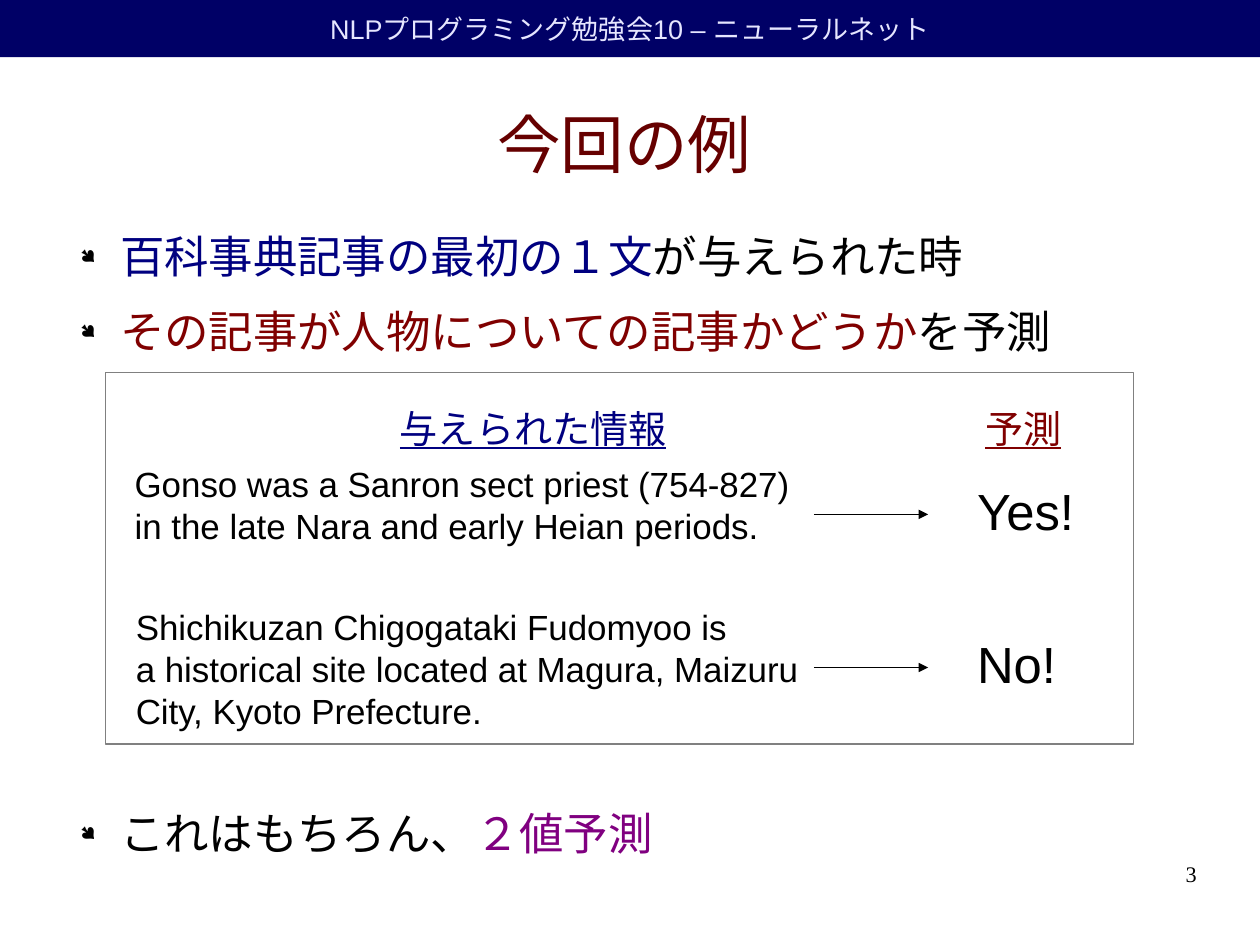
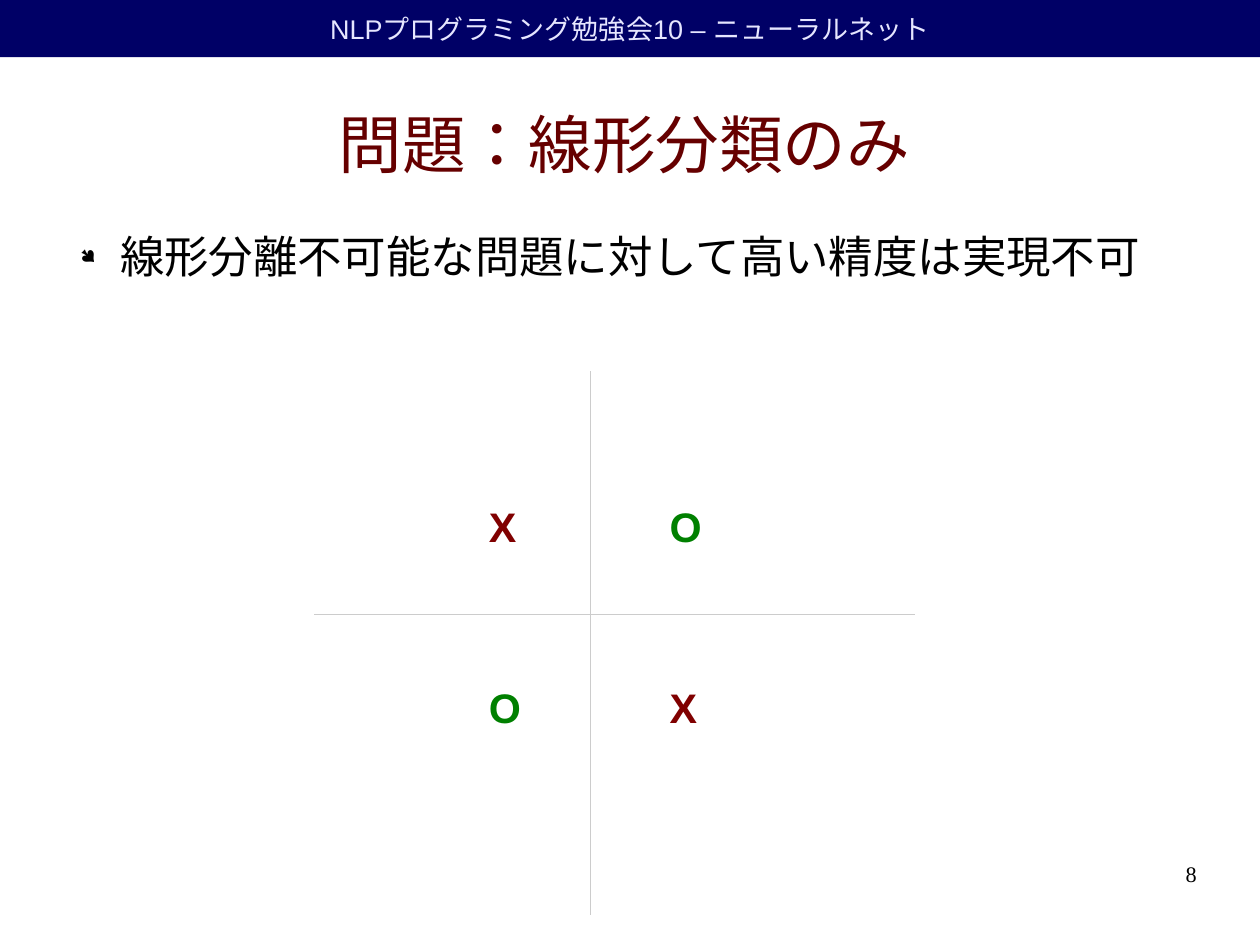
from lxml import etree
from pptx import Presentation
from pptx.dml.color import RGBColor
from pptx.enum.lang import MSO_LANGUAGE_ID
from pptx.enum.shapes import MSO_CONNECTOR, MSO_SHAPE
from pptx.enum.text import MSO_ANCHOR, PP_ALIGN
from pptx.oxml.ns import qn
from pptx.util import Inches, Pt

RECTANGLE = MSO_SHAPE.RECTANGLE
STRAIGHT = MSO_CONNECTOR.STRAIGHT
JAPANESE = MSO_LANGUAGE_ID.JAPANESE
TOP, MIDDLE = MSO_ANCHOR.TOP, MSO_ANCHOR.MIDDLE
LEFT, CENTER, RIGHT = PP_ALIGN.LEFT, PP_ALIGN.CENTER, PP_ALIGN.RIGHT

COLORS = {
    "band": "000066", "band_text": "E6E6FF", "title": "660000",
    "text": "000000", "given": "000080", "predicted": "800000",
    "binary": "800080", "positive": "008000", "frame": "808080",
    "axis": "CCCCCC",
}
RGB = {name: RGBColor.from_string(value) for name, value in COLORS.items()}
SLIDE_W, SLIDE_H = 28 / 2.54, 21 / 2.54  # 28 by 21 cm
BULLET_SIZE = 28
BULLET_LEFT, BULLET_WIDTH = 0.58, 9.92


def add_text(slide, box, lines, size, color="text", align=LEFT, anchor=TOP,
             margins=(0.1, 0.05), face="Arial", bold=None, underline=None,
             bulleted=False, fill=None):
    """Each line is a string, or a list of (text, color) runs."""
    place = [Inches(length) for length in box]
    if fill:
        shape = slide.shapes.add_shape(RECTANGLE, *place)
        shape.shadow.inherit = False
        shape.fill.solid()
        shape.fill.fore_color.rgb = RGB[fill]
        shape.line.fill.background()
    else:
        shape = slide.shapes.add_textbox(*place)
    frame = shape.text_frame
    frame.word_wrap = True
    frame.vertical_anchor = anchor
    frame.margin_left = frame.margin_right = Inches(margins[0])
    frame.margin_top = frame.margin_bottom = Inches(margins[1])

    for index, line in enumerate(lines):
        paragraph = frame.add_paragraph() if index else frame.paragraphs[0]
        paragraph.alignment = align
        if bulleted:
            properties = paragraph._p.get_or_add_pPr()
            properties.set("marL", str(Inches(0.47)))
            properties.set("indent", str(Inches(-0.35)))
            bullet_color = etree.SubElement(properties, qn("a:buClr"))
            etree.SubElement(bullet_color, qn("a:srgbClr"), val=COLORS["text"])
            etree.SubElement(properties, qn("a:buSzPct"), val="45000")
            etree.SubElement(properties, qn("a:buFont"), typeface="Wingdings",
                             charset="2")
            etree.SubElement(properties, qn("a:buChar"), char="●")
            paragraph.space_after = Pt(14.2)
        font = paragraph.font
        font.size, font.name = Pt(size), face
        font.bold, font.underline = bold, underline
        font.color.rgb = RGB[color]
        defaults = paragraph._p.pPr.find(qn("a:defRPr"))
        etree.SubElement(defaults, qn("a:ea"), typeface=face)
        for text, run_color in [(line, None)] if isinstance(line, str) else line:
            run = paragraph.add_run()
            run.text = text
            run.font.language_id = JAPANESE
            if run_color:
                run.font.color.rgb = RGB[run_color]


def add_line(slide, start, end, color, arrow=False):
    """Draw a hairline, without the theme's line style."""
    line = slide.shapes.add_connector(
        STRAIGHT, *[Inches(length) for length in (*start, *end)])
    line._element.remove(line._element.find(qn("p:style")))
    line.line.color.rgb = RGB[color]
    line.line.width = Pt(0)
    if arrow:
        etree.SubElement(line.line._get_or_add_ln(), qn("a:tailEnd"), type="triangle")
    etree.SubElement(line._element.spPr, qn("a:effectLst"))


deck = Presentation()
deck.slide_width, deck.slide_height = Inches(SLIDE_W), Inches(SLIDE_H)
blank = deck.slide_layouts[6]

# Shared band, title and page number
pages = []
for title, number in [("今回の例", "3"), ("問題：線形分類のみ", "8")]:
    page = deck.slides.add_slide(blank)
    add_text(page, (0, 0, SLIDE_W, 0.5), ["NLPプログラミング勉強会10 – ニューラルネット"],
             17, "band_text", CENTER, MIDDLE, fill="band")
    add_text(page, (0.5, 0.62, 9.92, 1.27), [title], 40, "title", CENTER, MIDDLE,
             margins=(0, 0))
    add_text(page, (7.9, 7.53, 2.57, 0.57), [number], 14, align=RIGHT,
             margins=(0, 0), face="Times New Roman")
    pages.append(page)
example, problem = pages

# Bullets
task = [
    [("百科事典記事の最初の１文", "given"), ("が与えられた時", "text")],
    [("その記事が人物についての記事かどうか", "predicted"), ("を予測", "text")],
]
conclusion = [[("これはもちろん、", "text"), ("２値予測", "binary")]]
limitation = ["線形分離不可能な問題に対して高い精度は実現不可"]
for page, top, height, bullets in [
    (example, 2, 1.2, task),
    (example, 7.05, 0.6, conclusion),
    (problem, 2, 0.6, limitation),
]:
    add_text(page, (BULLET_LEFT, top, BULLET_WIDTH, height), bullets, BULLET_SIZE,
             margins=(0, 0), bulleted=True)

# Example: given sentences and their predictions
frame_box = example.shapes.add_shape(
    RECTANGLE, Inches(0.92), Inches(3.26), Inches(9), Inches(3.25))
frame_box.shadow.inherit = False
frame_box.fill.background()
frame_box.line.color.rgb = RGB["frame"]
frame_box.line.width = Pt(0)

for heading, left, width, color in [
    ("与えられた情報", 3.4, 2.8, "given"), ("予測", 8.52, 1.2, "predicted"),
]:
    add_text(example, (left, 3.5, width, 0.49), [heading], 24, color, underline=True)

for sentence, left, top, height, arrow_y, answer in [
    (["Gonso was a Sanron sect priest (754-827)",
      "in the late Nara and early Heian periods."], 1.08, 4, 0.78, 4.5, "Yes!"),
    (["Shichikuzan Chigogataki Fudomyoo is",
      "a historical site located at Magura, Maizuru",
      "City, Kyoto Prefecture."], 1.09, 5.25, 1.12, 5.84, "No!"),
]:
    add_text(example, (left, top, 6.03, height), sentence, 22)
    add_line(example, (7.12, arrow_y), (8.12, arrow_y), "text", arrow=True)
    add_text(example, (8.45, arrow_y - 0.35, 1.3, 0.6), [answer], 32)

# Problem: classes that no straight line separates
CLASS_COLORS = {"X": "predicted", "O": "positive"}
for row, marks in enumerate(["XO", "OX"]):
    for column, mark in enumerate(marks):
        add_text(problem, (4.18 + 1.58 * column, 4.34 + 1.58 * row, 0.6, 0.5),
                 [mark], 26, CLASS_COLORS[mark], bold=True)
add_line(problem, (5.17, 3.25), (5.17, 8), "axis")
add_line(problem, (2.75, 5.38), (8, 5.38), "axis")

deck.save("out.pptx")
